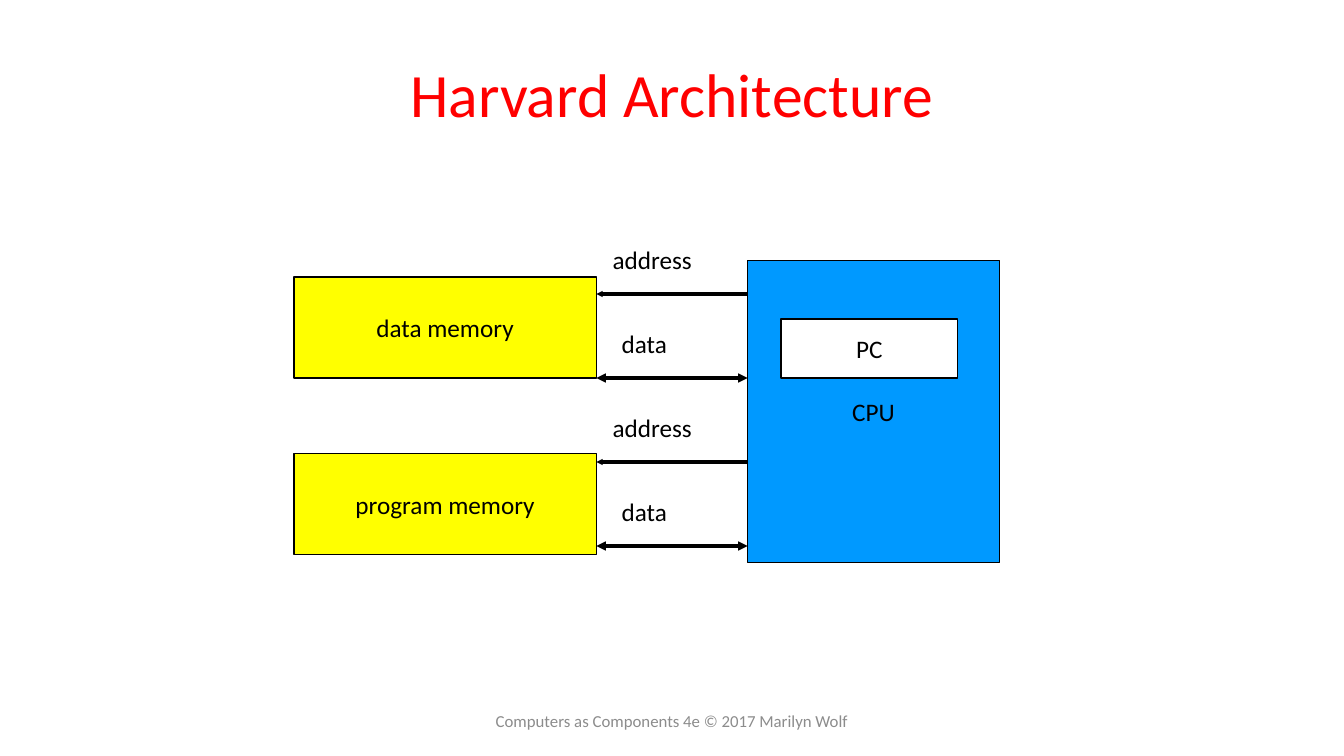
"""Build the Harvard Architecture slide."""
import lxml.etree
import pptx
import pptx.dml.color
import pptx.enum.shapes
import pptx.enum.text
import pptx.oxml.ns
import pptx.util

Pt = pptx.util.Pt
Align = pptx.enum.text.PP_ALIGN
Anchor = pptx.enum.text.MSO_ANCHOR
qn = pptx.oxml.ns.qn


def paint(color, code):
    color.rgb = pptx.dml.color.RGBColor.from_string(code)


def write(shape, text, size=18, code="000000", align=Align.CENTER,
          anchor=Anchor.MIDDLE, wrap=True):
    frame = shape.text_frame
    para = frame.paragraphs[0]
    para.text = text
    para.alignment = align
    form = {"name": "Calibri", "size": Pt(size)}
    for key, value in form.items():
        setattr(para.font, key, value)
    paint(para.font.color, code)
    form = {"vertical_anchor": anchor, "word_wrap": wrap}
    for key, value in form.items():
        setattr(frame, key, value)


deck = pptx.Presentation()
deck.slide_width, deck.slide_height = Pt(960), Pt(540)
slide = deck.slides.add_slide(deck.slide_layouts[6])
shapes = slide.shapes

title = shapes.add_textbox(Pt(48), Pt(21.6), Pt(864), Pt(90))
write(title, "Harvard Architecture", 44, "FF0000")

mem_left, mem_wide = 210, 216
mem_edge, cpu_edge = mem_left + mem_wide, 534
blocks = [
    ("CPU", cpu_edge, 186, 180, 216, "0099FF"),
    ("PC", 558, 228, 126, 42, "FFFFFF"),
    ("data memory", mem_left, 198, mem_wide, 72, "FFFF00"),
    ("program memory", mem_left, 324, mem_wide, 72, "FFFF00"),
]
for text, left, top, wide, high, code in blocks:
    block = shapes.add_shape(pptx.enum.shapes.MSO_SHAPE.RECTANGLE,
                             Pt(left), Pt(top), Pt(wide), Pt(high))
    block.shadow.inherit = False
    block.fill.solid()
    paint(block.fill.fore_color, code)
    paint(block.line.color, "000000")
    block.line.width = Pt(1)
    write(block, text, wrap=False)

buses = [
    ("address", 430.5, 86.4, cpu_edge, mem_edge, ["tailEnd"], "sm"),
    ("data", 437, 54.7, mem_edge, cpu_edge, ["headEnd", "tailEnd"], "med"),
]
for row in range(4):
    text, left, wide, start, end, tips, size = buses[row % 2]
    y = 210 + 60 * row
    bus = shapes.add_connector(pptx.enum.shapes.MSO_CONNECTOR.STRAIGHT,
                               Pt(start), Pt(y), Pt(end), Pt(y))
    paint(bus.line.color, "000000")
    bus.line.width = Pt(2.25)
    props = bus._element.spPr
    for tip in tips:
        lxml.etree.SubElement(props.find(qn("a:ln")), qn("a:" + tip),
                              type="triangle", w=size, len=size)
    lxml.etree.SubElement(props, qn("a:effectLst"))
    label = shapes.add_textbox(Pt(left), Pt(y - 38.8), Pt(wide), Pt(36))
    write(label, text, align=Align.LEFT, anchor=Anchor.TOP)

footer = shapes.add_textbox(Pt(328), Pt(500.4), Pt(304), Pt(28.8))
write(footer, "Computers as Components 4e © 2017 Marilyn Wolf", 12, "8C8C8C")

deck.save("out.pptx")
